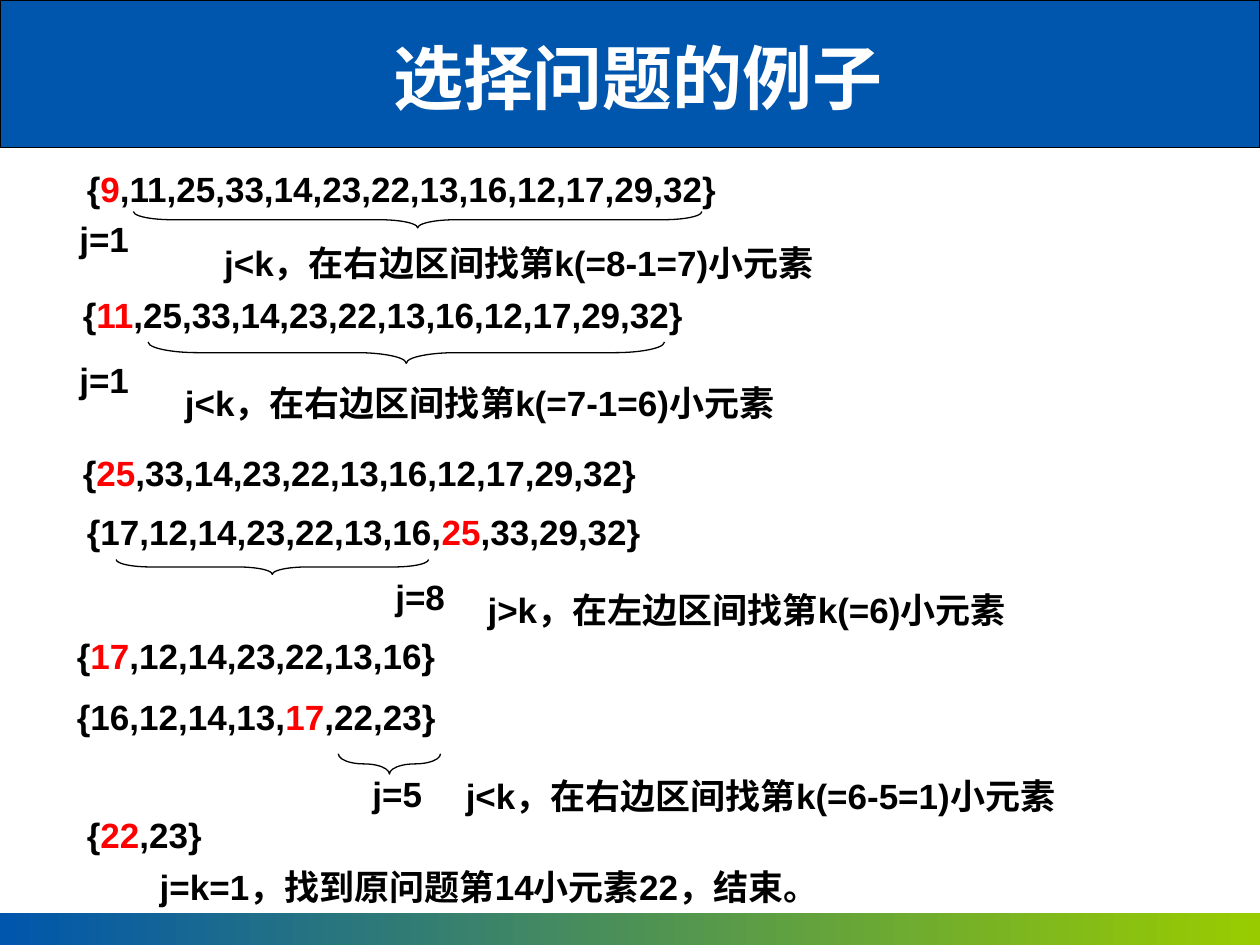
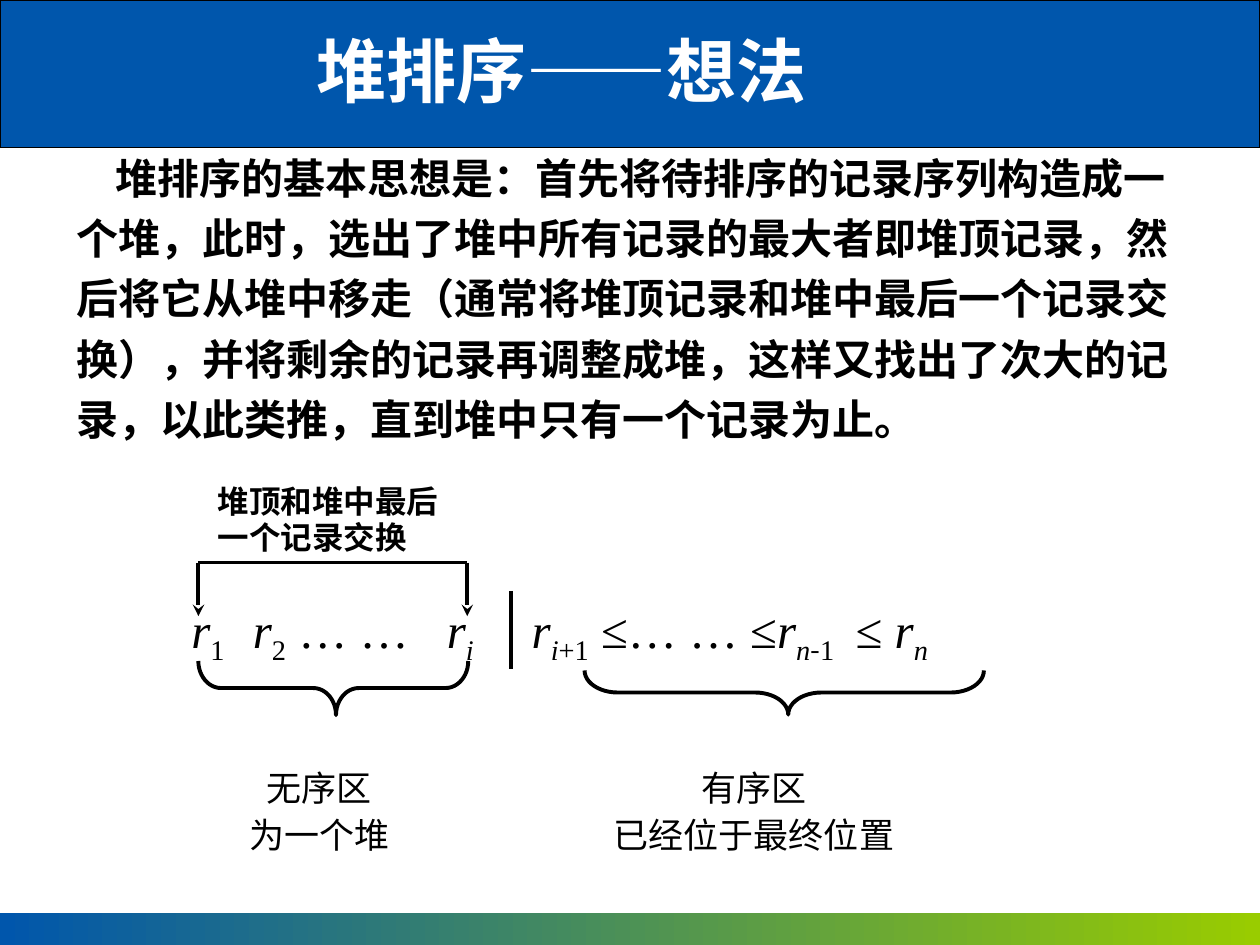
from lxml.etree import SubElement
from pptx import Presentation
from pptx.dml.color import RGBColor
from pptx.enum.shapes import MSO_CONNECTOR, MSO_SHAPE
from pptx.enum.text import MSO_ANCHOR, PP_ALIGN
from pptx.oxml.ns import qn
from pptx.util import Cm, Pt

BLUE = RGBColor(0x00, 0x56, 0xAC)
GREEN = RGBColor(0x99, 0xCC, 0x00)
RED = RGBColor(0xFF, 0x00, 0x00)
BLACK = RGBColor(0x00, 0x00, 0x00)
WHITE = RGBColor(0xFF, 0xFF, 0xFF)

SANS, HAN, SERIF = "Arial", "Noto Sans CJK SC", "Times New Roman"
WIDTH, HEIGHT = 25.4, 19.05
HEADER, FOOTER = 2.97, 0.64
THIN, THICK = 0.75, 2.25

# Text formats
TITLE = {"name": HAN, "size": Pt(40), "bold": True}
STEP = {"name": SANS, "size": Pt(20), "bold": True}
BODY = {"name": HAN, "size": Pt(24), "bold": True}
CAPTION = {"name": SERIF, "size": Pt(18), "bold": True}
ZONE = {"name": SERIF, "size": Pt(20)}
FORMULA = {"name": SERIF, "size": Pt(28)}


class Painter:
    """Holds the deck, its style and the current page."""

    def __init__(self):
        self.deck = Presentation()
        self.deck.slide_width, self.deck.slide_height = Cm(WIDTH), Cm(HEIGHT)
        self.page = None

    def new_page(self, title, left, top, width):
        self.page = self.deck.slides.add_slide(self.deck.slide_layouts[6])
        header = self.shape(MSO_SHAPE.RECTANGLE, 0, 0, WIDTH, HEADER, THIN)
        header.fill.solid()
        header.fill.fore_color.rgb = BLUE
        footer = self.shape(MSO_SHAPE.RECTANGLE, 0, HEIGHT - FOOTER, WIDTH, FOOTER)
        footer.fill.gradient()
        footer.fill.gradient_angle = 0
        for stop, color in zip(footer.fill.gradient_stops, (BLUE, GREEN)):
            stop.color.rgb = color
        box = self.box(left, top, width, 1.96, PP_ALIGN.CENTER)
        box.text_frame.vertical_anchor = MSO_ANCHOR.MIDDLE
        self.span(box.text_frame.paragraphs[0], title, TITLE, color=WHITE)

    def shape(self, kind, left, top, width, height, weight=None):
        shape = self.page.shapes.add_shape(kind, Cm(left), Cm(top), Cm(width), Cm(height))
        shape.shadow.inherit = False
        if weight:
            shape.line.color.rgb = BLACK
            shape.line.width = Pt(weight)
        else:
            shape.line.fill.background()
        return shape

    def brace(self, kind, center, middle, depth, length, bend, point, weight):
        """A brace that lies under a text and points down."""
        brace = self.shape(kind, center - depth / 2, middle - length / 2,
                           depth, length, weight)
        brace.rotation = 90 if kind == MSO_SHAPE.RIGHT_BRACE else 270
        brace.fill.background()
        brace.adjustments[0], brace.adjustments[1] = bend, point

    def line(self, start, end, arrow=False):
        line = self.page.shapes.add_connector(
            MSO_CONNECTOR.STRAIGHT, *(Cm(value) for value in start + end))
        line.line.color.rgb = BLACK
        line.line.width = Pt(THICK)
        properties = line._element.spPr
        if arrow:
            SubElement(properties.find(qn("a:ln")), qn("a:tailEnd"), type="stealth")
        SubElement(properties, qn("a:effectLst"))

    def box(self, left, top, width, height, align=PP_ALIGN.LEFT, inset=True):
        box = self.page.shapes.add_textbox(Cm(left), Cm(top), Cm(width), Cm(height))
        frame = box.text_frame
        frame.word_wrap = True
        frame.paragraphs[0].alignment = align
        if inset:
            # Half a line of space above the paragraph
            para_format = frame.paragraphs[0]._p.get_or_add_pPr()
            before = SubElement(para_format, qn("a:spcBef"))
            SubElement(before, qn("a:spcPct"), val="50000")
        else:
            for side in ("left", "top", "right", "bottom"):
                setattr(frame, f"margin_{side}", 0)
        return box

    def span(self, para, text, style, color=BLACK, **extra):
        span = para.add_run()
        span.text = text
        for name, value in {**style, **extra}.items():
            setattr(span.font, name, value)
        span.font.color.rgb = color
        return span

    def step(self, left, top, width, text):
        """One line of the example; the part between bars is red."""
        para = self.box(left, top, width, 1.12).text_frame.paragraphs[0]
        for index, part in enumerate(text.split("|")):
            if part:
                self.span(para, part, STEP, color=RED if index % 2 else BLACK)

    def lines(self, left, top, width, texts, style, align, pitch):
        """Several lines at a fixed pitch."""
        box = self.box(left, top, width, len(texts) * pitch / 28.35, align, inset=False)
        frame = box.text_frame
        for index, text in enumerate(texts):
            para = frame.add_paragraph() if index else frame.paragraphs[0]
            para.alignment = align
            para.line_spacing = Pt(pitch)
            self.span(para, text, style)

    def formula(self, left, width, *parts):
        """Pieces written as (text, marks): i italic, s subscript, h Han font."""
        para = self.box(left, 12.09, width, 1.3, inset=False).text_frame.paragraphs[0]
        for text, marks in parts:
            span = self.span(para, text, FORMULA, italic="i" in marks)
            if "h" in marks:
                span.font.name = HAN
            if "s" in marks:
                span._r.get_or_add_rPr().set("baseline", "-25000")


def selection_page(painter):
    painter.new_page("选择问题的例子", 6.8, 0.56, 12.12)

    # Sequences, positions and decisions
    for step in (
        (1.5, 3.25, 23.5, "{|9|,11,25,33,14,23,22,13,16,12,17,29,32}"),
        (1.35, 4.27, 2.36, "j=1"),
        (4.27, 4.75, 16.84, "j<k，在右边区间找第k(=8-1=7)小元素"),
        (1.42, 5.79, 16.36, "{|11|,25,33,14,23,22,13,16,12,17,29,32}"),
        (1.35, 7.11, 2.36, "j=1"),
        (3.48, 7.57, 16.84, "j<k，在右边区间找第k(=7-1=6)小元素"),
        (1.42, 8.97, 16.36, "{|25|,33,14,23,22,13,16,12,17,29,32}"),
        (1.5, 10.16, 16.36, "{17,12,14,23,22,13,16,|25|,33,29,32}"),
        (7.72, 11.48, 2.06, "j=8"),
        (9.58, 11.73, 14.7, "j>k，在左边区间找第k(=6)小元素"),
        (1.3, 12.67, 16.36, "{|17|,12,14,23,22,13,16}"),
        (1.3, 13.89, 16.36, "{16,12,14,13,|17|,22,23}"),
        (7.26, 15.44, 2.06, "j=5"),
        (9.14, 15.49, 15.95, "j<k，在右边区间找第k(=6-5=1)小元素"),
        (1.5, 16.28, 16.36, "{|22|,23}"),
        (2.97, 17.32, 18.95, "j=k=1，找到原问题第14小元素22，结束。"),
    ):
        painter.step(*step)

    # Braces under the interval that is kept
    for center, middle, depth, length in (
        (8.42, 4.43, 0.33, 11.46),
        (8.19, 7.11, 0.43, 10.41),
        (5.49, 11.43, 0.3, 6.3),
        (7.85, 15.4, 0.41, 2.06),
    ):
        painter.brace(MSO_SHAPE.RIGHT_BRACE, center, middle, depth, length,
                      2.33, 0.5, THIN)


def heap_page(painter):
    painter.new_page("堆排序——想法", 5.31, 0.43, 12.01)

    # Idea
    idea = painter.box(1.3, 2.74, 22.66, 6.35).text_frame.paragraphs[0]
    idea.line_spacing = Pt(34.5)
    idea._p.get_or_add_pPr().set("indent", str(Cm(0.77)))
    painter.span(idea, "堆排序的基本思想是：首先将待排序的记录序列构造成一个堆，"
                 "此时，选出了堆中所有记录的最大者即堆顶记录，然后将它从堆中移走"
                 "（通常将堆顶记录和堆中最后一个记录交换），并将剩余的记录再调整成堆，"
                 "这样又找出了次大的记录，以此类推，直到堆中只有一个记录为止。", BODY)

    # Records
    painter.formula(3.86, 1.1, ("r", "i"), ("1", "s"))
    painter.formula(5.1, 3.6, ("r", "i"), ("2", "s"), (" … …", ""))
    painter.formula(9.01, 1.1, ("r", "i"), ("i", "is"))
    painter.formula(10.72, 6.5, ("r", "i"), ("i", "is"), ("+1", "s"), (" ≤… … ≤", ""),
                    ("r", "i"), ("n", "is"), ("-", "sh"), ("1", "s"))
    painter.formula(17.25, 2.2, ("≤ ", ""), ("r", "i"), ("n", "is"))

    # Divider and braces of the two zones
    painter.line((10.31, 11.91), (10.31, 13.49))
    painter.brace(MSO_SHAPE.LEFT_BRACE, 15.81, 13.96, 0.89, 8.05, 0.75, 0.51, THICK)
    painter.brace(MSO_SHAPE.LEFT_BRACE, 6.72, 13.87, 1.09, 5.44, 0.42, 0.51, THICK)

    # Exchange of first and last record
    first, last, level = 4.0, 9.42, 11.34
    painter.line((first, level), (last, level))
    for record in (last, first):
        painter.line((record, level), (record, 12.42), arrow=True)
    painter.lines(4.39, 9.75, 4.83, ("堆顶和堆中最后", "一个记录交换"),
                  CAPTION, PP_ALIGN.LEFT, 20.5)

    # Zone names
    for left, width, names in ((4.44, 4, ("无序区", "为一个堆")),
                               (11.2, 8, ("有序区", "已经位于最终位置"))):
        painter.lines(left, 15.37, width, names, ZONE, PP_ALIGN.CENTER, 26.5)


def main():
    painter = Painter()
    selection_page(painter)
    heap_page(painter)
    painter.deck.save("out.pptx")


if __name__ == "__main__":
    main()
